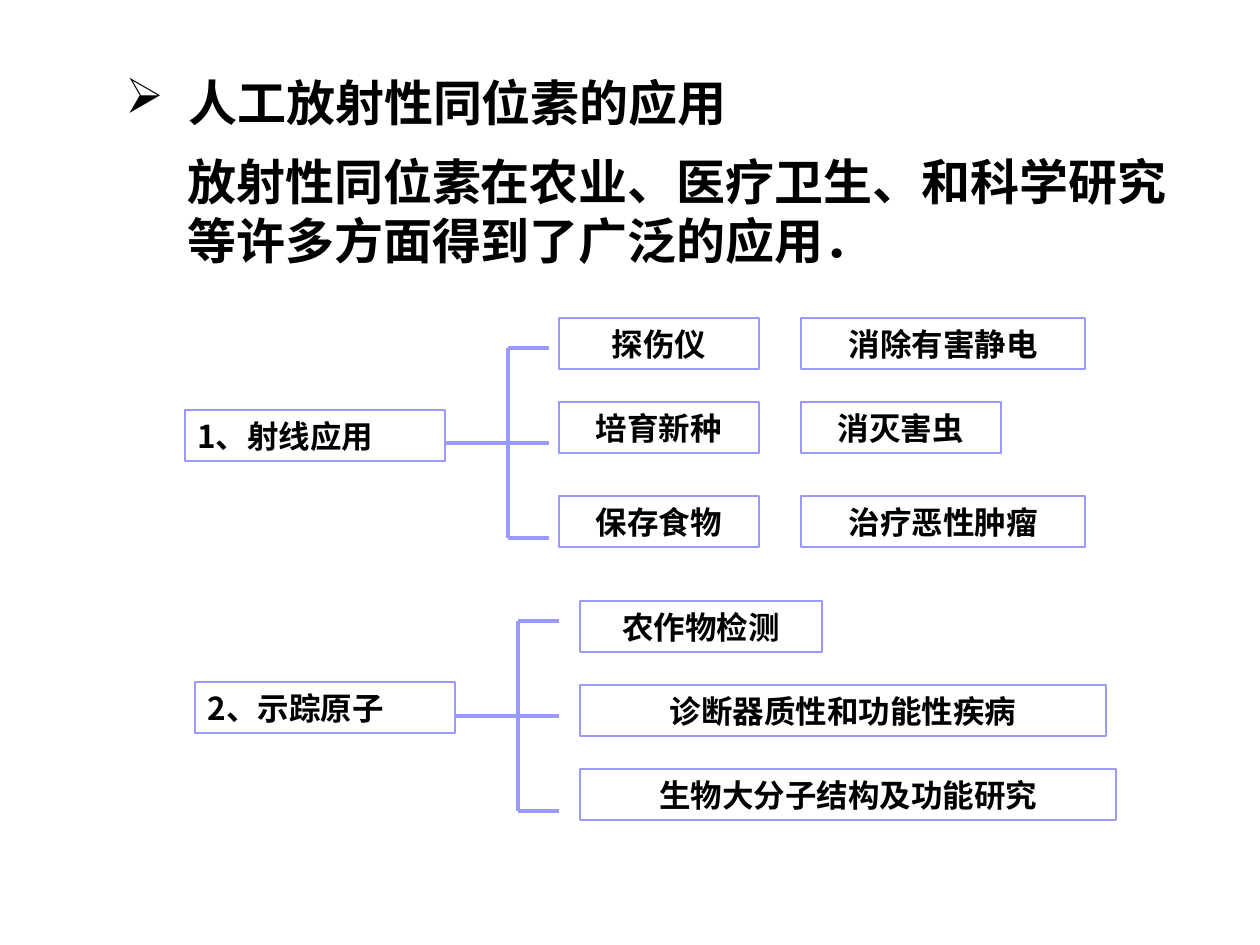
from lxml import etree
from pptx import Presentation
from pptx.dml.color import RGBColor
from pptx.enum import shapes, text
from pptx.oxml.ns import qn
from pptx.util import Pt

PX = 914400 / 126
THEME = {
    "font": "Noto Sans CJK SC",
    "ink": RGBColor(0x00, 0x00, 0x00),
    "line": RGBColor(0x99, 0x99, 0xFF),
    "heading": Pt(28),
    "label": Pt(18),
    "border": Pt(1.5),
    "bracket": Pt(2.25),
}
LEFT, CENTER = text.PP_ALIGN.LEFT, text.PP_ALIGN.CENTER


def emu(*lengths):
    return [round(n * PX) for n in lengths]


def write(shape, wording, size, align=LEFT):
    frame = shape.text_frame
    frame.word_wrap = True
    frame.auto_size = text.MSO_AUTO_SIZE.NONE
    frame.vertical_anchor = text.MSO_ANCHOR.MIDDLE
    paragraph = frame.paragraphs[0]
    paragraph.alignment = align
    run = paragraph.add_run()
    run.text = wording
    run.font.size = size
    run.font.bold = True
    run.font.color.rgb = THEME["ink"]
    run.font.name = THEME["font"]
    etree.SubElement(run._r.get_or_add_rPr(), qn("a:ea"), typeface=THEME["font"])
    return paragraph


prs = Presentation()
prs.slide_width, prs.slide_height = emu(1260, 945)
slide = prs.slides.add_slide(prs.slide_layouts[6])

# Introduction, two lines set tightly
intro = slide.shapes.add_textbox(*emu(175, 141, 1040, 131))
intro.text_frame.margin_top = emu(14)[0]
intro_line = write(
    intro, "放射性同位素在农业、医疗卫生、和科学研究等许多方面得到了广泛的应用．", THEME["heading"]
)
intro_line.line_spacing = Pt(33.6)

# Heading with arrow bullet
heading = slide.shapes.add_textbox(*emu(113, 66, 735, 72))
heading_line = write(heading, "人工放射性同位素的应用", THEME["heading"])
bullet_props = heading_line._p.get_or_add_pPr()
indent = emu(63)[0]
bullet_props.set("marL", str(indent))
bullet_props.set("indent", str(-indent))
etree.SubElement(bullet_props, qn("a:buChar"), char="➢")

# Each branch: topic (left, top, wording), axis height, uses (left, top, width, wording)
BOX_HEIGHT, TOPIC_WIDTH = 51, 260
STEM, REACH, ARM = 63, 104, 95
branches = [
    ((185, 410, "1、射线应用"), 443, [
        (559, 318, 200, "探伤仪"),
        (559, 402, 200, "培育新种"),
        (559, 496, 200, "保存食物"),
        (801, 318, 284, "消除有害静电"),
        (801, 402, 200, "消灭害虫"),
        (801, 496, 284, "治疗恶性肿瘤"),
    ]),
    ((195, 682, "2、示踪原子"), 716, [
        (580, 601, 242, "农作物检测"),
        (580, 685, 526, "诊断器质性和功能性疾病"),
        (580, 769, 536, "生物大分子结构及功能研究"),
    ]),
]

for (topic_left, topic_top, topic), axis, uses in branches:
    # Topic and use boxes
    boxes = [(topic_left, topic_top, TOPIC_WIDTH, topic, LEFT)]
    boxes += [(*use, CENTER) for use in uses]
    for left, top, width, wording, align in boxes:
        box = slide.shapes.add_shape(
            shapes.MSO_SHAPE.RECTANGLE, *emu(left, top, width, BOX_HEIGHT)
        )
        box.shadow.inherit = False
        box.fill.background()
        box.line.color.rgb = THEME["line"]
        box.line.width = THEME["border"]
        write(box, wording, THEME["label"], align)

    # Bracket from the topic to its uses
    start = topic_left + TOPIC_WIDTH
    spine, end = start + STEM, start + REACH
    upper, lower = axis - ARM, axis + ARM
    for ends in [
        (start, axis, end, axis),
        (spine, upper, spine, lower),
        (spine, upper, end, upper),
        (spine, lower, end, lower),
    ]:
        bracket = slide.shapes.add_connector(shapes.MSO_CONNECTOR.STRAIGHT, *emu(*ends))
        bracket.line.color.rgb = THEME["line"]
        bracket.line.width = THEME["bracket"]
        etree.SubElement(bracket._element.spPr, qn("a:effectLst"))

prs.save("out.pptx")
